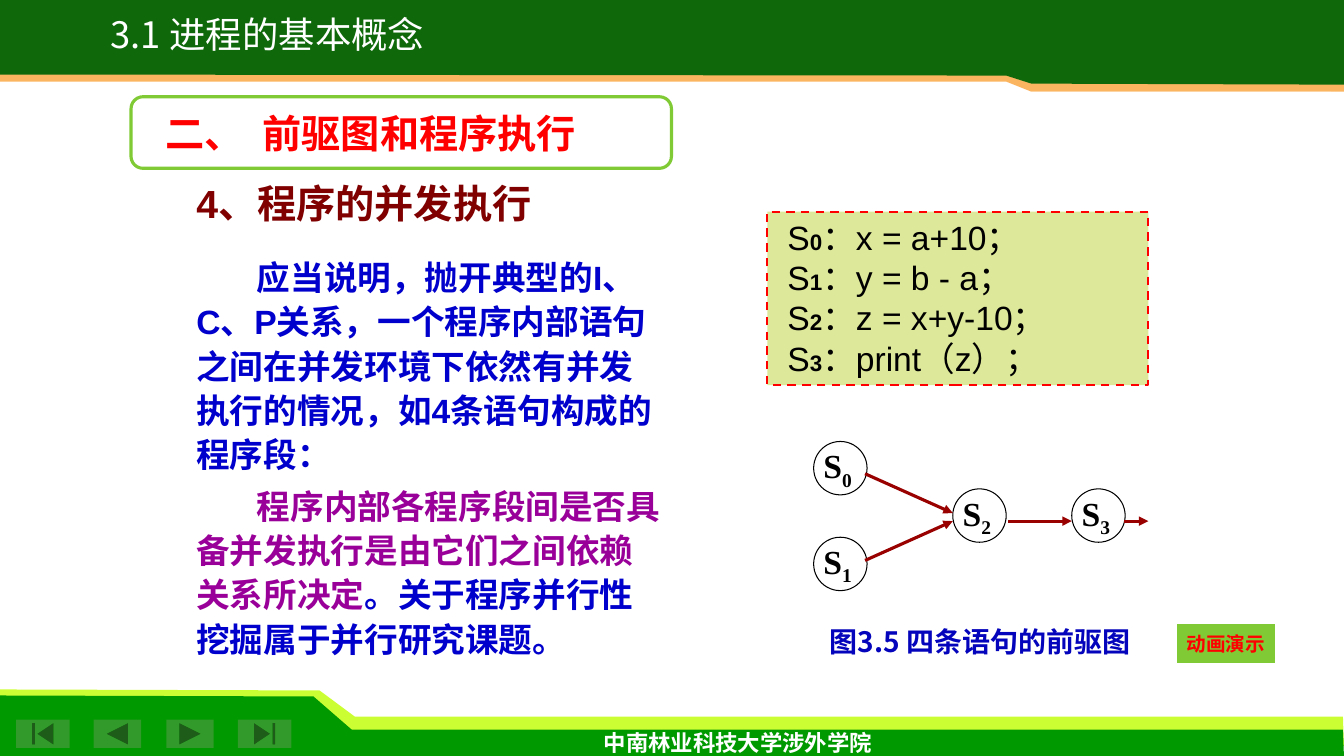
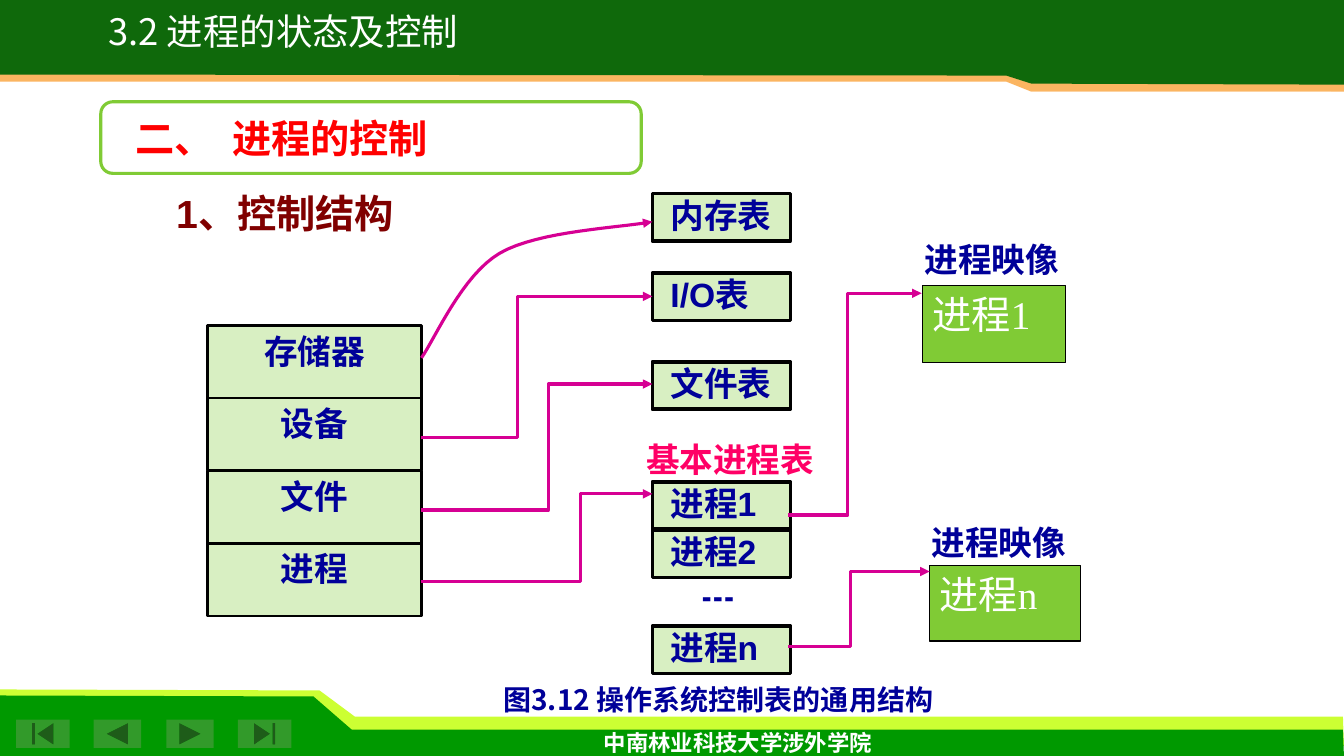
from lxml import etree
from pptx import Presentation
from pptx.dml.color import RGBColor
from pptx.enum.dml import MSO_LINE
from pptx.enum.shapes import MSO_CONNECTOR, MSO_SHAPE
from pptx.enum.text import MSO_ANCHOR, PP_ALIGN
from pptx.oxml.ns import qn
from pptx.util import Inches, Pt

LEFT, CENTER = PP_ALIGN.LEFT, PP_ALIGN.CENTER
TOP, MIDDLE = MSO_ANCHOR.TOP, MSO_ANCHOR.MIDDLE
RECT, OVAL, ROUNDED = MSO_SHAPE.RECTANGLE, MSO_SHAPE.OVAL, MSO_SHAPE.ROUNDED_RECTANGLE
STRAIGHT, DASH = MSO_CONNECTOR.STRAIGHT, MSO_LINE.DASH
BUTTON = MSO_SHAPE.ACTION_BUTTON_CUSTOM

SANS, SERIF, BODY, CJK = "Arial", "Times New Roman", "Karla", "Noto Sans CJK SC"
WHITE, BLACK, RED, MAROON = "FFFFFF", "000000", "FF0000", "800000"
GREEN, NAVY, BLUE, PURPLE = "80CB35", "000099", "0000CC", "990099"
ARROW_RED, ARROW_PINK = "990000", "D60093"


def paint(sp, fill=None, line=None, width=1, alpha=100, arrow=False):
    """Set fill, outline, opacity in percent and arrowhead; remove the shadow."""
    spPr = sp.element.spPr
    if fill:
        sp.fill.solid()
        sp.fill.fore_color.rgb = RGBColor.from_string(fill)
        if alpha < 100:
            colour = spPr.find(qn("a:solidFill"))[0]
            etree.SubElement(colour, qn("a:alpha"), val=str(alpha * 1000))
    elif hasattr(sp, "fill"):
        sp.fill.background()
    if line:
        sp.line.color.rgb = RGBColor.from_string(line)
        sp.line.width = Pt(width)
    else:
        sp.line.fill.background()
    if arrow:
        etree.SubElement(spPr.find(qn("a:ln")), qn("a:tailEnd"), type="triangle")
    etree.SubElement(spPr, qn("a:effectLst"))


def write(sp, paragraphs, size, font, colour, bold=True, align=LEFT, anchor=TOP,
          left=0.1, top=0.05, spacing=None, indent=0, tab=0, wrap=True):
    """Fill a shape with paragraphs, each a list of run texts."""
    tf = sp.text_frame
    tf.word_wrap = wrap
    tf.vertical_anchor = anchor
    tf.margin_left, tf.margin_top = Inches(left), Inches(top)
    tf.margin_right, tf.margin_bottom = Inches(min(left, 0.1)), Inches(top)
    for i, texts in enumerate(paragraphs):
        p = tf.add_paragraph() if i else tf.paragraphs[0]
        p.alignment = align
        if spacing:
            p.line_spacing = spacing
        pPr = p._p.get_or_add_pPr()
        if indent:
            pPr.set("indent", str(Inches(indent)))
        if tab:
            tabs = etree.SubElement(pPr, qn("a:tabLst"))
            etree.SubElement(tabs, qn("a:tab"), pos=str(Inches(tab)), algn="l")
        for text in texts:
            r = p.add_run()
            r.text = text
            r.font.size, r.font.name, r.font.bold = Pt(size), font, bold
            r.font.color.rgb = RGBColor.from_string(colour)
    return tf


prs = Presentation()
prs.slide_width, prs.slide_height = Inches(13.33), Inches(7.5)

# Bands, navigation, footer and headings of both slides
bands = [
    ("CCFF33", 100, [(0.01, 7.4), (13.33, 7.4), (13.32, 7.11), (3.52, 7.11),
                     (3.17, 6.85), (0, 6.84)]),
    ("009900", 100, [(0, 7.53), (13.33, 7.51), (13.32, 7.24), (3.49, 7.24),
                     (3.11, 6.91), (0, 6.9)]),
    ("FBB561", 100, [(13.33, -0.03), (0, -0.03), (0, 0.81), (9.98, 0.81),
                     (10.23, 0.91), (13.33, 0.91)]),
    ("0F690B", 100, [(13.33, -0.03), (0, -0.03), (0, 0.74), (9.98, 0.75),
                     (10.23, 0.83), (13.33, 0.84)]),
    (WHITE, 30, [(10.06, 0.91), (13.2, 0.91), (13.19, 0.96), (10.19, 0.97)]),
]
nav_buttons = [
    (MSO_SHAPE.ACTION_BUTTON_BEGINNING, 0.16, 0.53),
    (MSO_SHAPE.ACTION_BUTTON_BACK_OR_PREVIOUS, 0.93, 0.47),
    (MSO_SHAPE.ACTION_BUTTON_FORWARD_OR_NEXT, 1.65, 0.47),
    (MSO_SHAPE.ACTION_BUTTON_END, 2.36, 0.53),
]
headings = [
    ("3.1 进程的基本概念", (0.49, 0.16, 4.33, 0.46),
     "二、\t前驱图和程序执行", (1.3, 0.96),
     "4、程序的并发执行", (1.75, 1.78, 3.65, 0.52),
     "图3.5 四条语句的前驱图", "0404BC", (7.77, 6.15, 3.9, 0.44)),
    ("3.2 进程的状态及控制", (0.45, 0.13, 4.72, 0.46),
     "二、\t进程的控制", (1, 1.01),
     "1、控制结构", (1.55, 1.88, 3.86, 0.48),
     "图3.12 操作系统控制表的通用结构", NAVY, (3.86, 6.72, 6.53, 0.39)),
]
for (title, title_box, section, section_at, topic, topic_box,
     caption, caption_colour, caption_box) in headings:
    s = prs.slides.add_slide(prs.slide_layouts[6])
    for colour, alpha, points in bands:
        start, *rest = [(Inches(x), Inches(y)) for x, y in points]
        builder = s.shapes.build_freeform(*start)
        builder.add_line_segments(rest)
        paint(builder.convert_to_shape(), colour, alpha=alpha)
    for kind, x, w in nav_buttons:
        sp = s.shapes.add_shape(kind, Inches(x), Inches(7.14), Inches(w), Inches(0.28))
        paint(sp, "329A2A")
    sp = s.shapes.add_textbox(Inches(5.89), Inches(7.18), Inches(2.89), Inches(0.37))
    write(sp, [["中南林业科技大学涉外学院"]], 16, BODY, WHITE, wrap=False)
    sp = s.shapes.add_textbox(*map(Inches, title_box))
    write(sp, [[title]], 26, CJK, WHITE, bold=False, align=CENTER, spacing=0.8, wrap=False)
    sp = s.shapes.add_shape(ROUNDED, *map(Inches, section_at), Inches(5.36), Inches(0.71))
    paint(sp, WHITE, GREEN, 2.25, alpha=90)
    write(sp, [[section]], 28, SERIF, RED, anchor=MIDDLE, left=0.31, tab=0.96)
    sp = s.shapes.add_textbox(*map(Inches, topic_box))
    write(sp, [[topic]], 28, SANS, MAROON, spacing=0.9, indent=0.1)
    sp = s.shapes.add_textbox(*map(Inches, caption_box))
    write(sp, [[caption]], 20, CJK, caption_colour, align=CENTER)

graph_slide, control_slide = prs.slides

# Slide 1: precedence graph of four statements
s = graph_slide
sp = s.shapes.add_textbox(Inches(1.85), Inches(2.46), Inches(4.83), Inches(4.17))
tf = write(sp, [
    ["应当说明，抛开典型的I、C、P关系，一个程序内部语句之间在并发环境下依然有并发执行的情况，"
     "如4条语句构成的程序段："],
    ["程序内部各程序段间是否具备并发执行是由它们之间依赖关系所决定",
     "。关于程序并行性挖掘属于并行研究课题。"],
], 24, SANS, BLUE, spacing=1.1, indent=0.6)
p = tf.paragraphs[1]
p.space_before = Pt(5)
p.runs[0].font.color.rgb = RGBColor.from_string(PURPLE)

sp = s.shapes.add_shape(RECT, Inches(7.61), Inches(2.1), Inches(3.78), Inches(1.72))
paint(sp, "DDE89A", RED, 1.5)
sp.line.dash_style = DASH
statements = ["x = a+10", "y = b - a", "z = x+y-10", "print（z）"]
tf = write(sp, [["S", str(i), f"：{code}；"] for i, code in enumerate(statements)],
           24, SANS, BLACK, bold=False, left=0.2)
for p in tf.paragraphs:
    p.runs[1].font.size, p.runs[1].font.bold = Pt(16), True

nodes = [(8.07, 4.38), (8.07, 5.33), (9.45, 4.85), (10.63, 4.85)]
for i, (x, y) in enumerate(nodes):
    sp = s.shapes.add_shape(OVAL, Inches(x), Inches(y), Inches(0.53), Inches(0.53))
    paint(sp, line=BLACK, width=0.75)
    tf = write(sp, [["S", str(i)]], 24, SERIF, BLACK, anchor=MIDDLE, left=0.02, top=0)
    tf.paragraphs[0].runs[1].font._element.set("baseline", "-25000")

edges = [(8.58, 4.7, 9.45, 5.09), (8.58, 5.56, 9.45, 5.17),
         (10, 5.17, 10.63, 5.17), (11.15, 5.17, 11.39, 5.17)]
for ends in edges:
    paint(s.shapes.add_connector(STRAIGHT, *map(Inches, ends)),
          line=ARROW_RED, width=2.25, arrow=True)

sp = s.shapes.add_shape(BUTTON, Inches(11.67), Inches(6.19), Inches(0.98), Inches(0.39))
paint(sp, GREEN)
write(sp, [["动画演示"]], 14, BODY, RED, align=CENTER, anchor=MIDDLE, wrap=False)

# Slide 2: control tables of the operating system
s = control_slide
for i, resource in enumerate(["存储器", "设备", "文件", "进程"]):
    sp = s.shapes.add_shape(RECT, Inches(2.06), Inches(3.23 + i * 0.72),
                            Inches(2.12), Inches(0.72))
    paint(sp, GREEN, BLACK, 1.75, alpha=30)
    write(sp, [[resource]], 24, SERIF, NAVY, align=CENTER)

tables = [("内存表", 1.92), ("I/O表", 2.71), ("文件表", 3.59),
          ("进程1", 4.78), ("进程2", 5.26), ("进程n", 6.21)]
for name, y in tables:
    sp = s.shapes.add_shape(RECT, Inches(6.47), Inches(y), Inches(1.37), Inches(0.47))
    paint(sp, GREEN, BLACK, 2.5, alpha=30)
    write(sp, [[name]], 24, SANS, NAVY, left=0.18, top=0.01)

for name, x, y, w, h in [("进程1", 9.15, 2.83, 1.42, 0.77), ("进程n", 9.22, 5.61, 1.5, 0.75)]:
    sp = s.shapes.add_shape(RECT, Inches(x), Inches(y), Inches(w), Inches(h))
    paint(sp, GREEN, BLACK, 1)
    write(sp, [[name]], 28, SERIF, WHITE, bold=False)

labels = [("进程映像", 9.07, 2.32, 1.65, SERIF, NAVY, 1),
          ("进程映像", 9.14, 5.13, 1.65, SERIF, NAVY, 1),
          ("基本进程表", 6.31, 4.38, 1.97, CJK, "FF0066", 0.8),
          ("┅", 6.86, 5.77, 0.63, CJK, NAVY, 0.8)]
for text, x, y, w, font, colour, spacing in labels:
    sp = s.shapes.add_textbox(Inches(x), Inches(y), Inches(w), Inches(0.4))
    write(sp, [[text]], 24, font, colour, spacing=spacing)

elbows = [(4.18, 4.34, 5.13, 6.47, 2.94), (4.18, 5.06, 5.44, 6.47, 3.81),
          (4.18, 5.77, 5.76, 6.47, 4.9), (7.82, 5.11, 8.41, 9.14, 2.91),
          (7.82, 6.41, 8.44, 9.22, 5.67)]
routes = [[(x1, y1), (bend, y1), (bend, y2), (x2, y2)] for x1, y1, bend, x2, y2 in elbows]

# The curved arrow is sampled from two cubic Bézier segments
curve = [(4.18, 3.55)]
for controls in ([(4.18, 3.55), (4.31, 3.37), (4.58, 2.73), (4.96, 2.51)],
                 [(4.96, 2.51), (5.34, 2.29), (6.15, 2.26), (6.47, 2.2)]):
    for step in range(1, 17):
        t = step / 16
        weights = ((1 - t) ** 3, 3 * t * (1 - t) ** 2, 3 * t * t * (1 - t), t ** 3)
        curve.append(tuple(sum(k * c[axis] for k, c in zip(weights, controls))
                           for axis in (0, 1)))

for route in routes + [curve]:
    start, *rest = [(Inches(x), Inches(y)) for x, y in route]
    builder = s.shapes.build_freeform(*start)
    builder.add_line_segments(rest, close=False)
    paint(builder.convert_to_shape(), line=ARROW_PINK, width=2.25, arrow=True)

prs.save("out.pptx")
